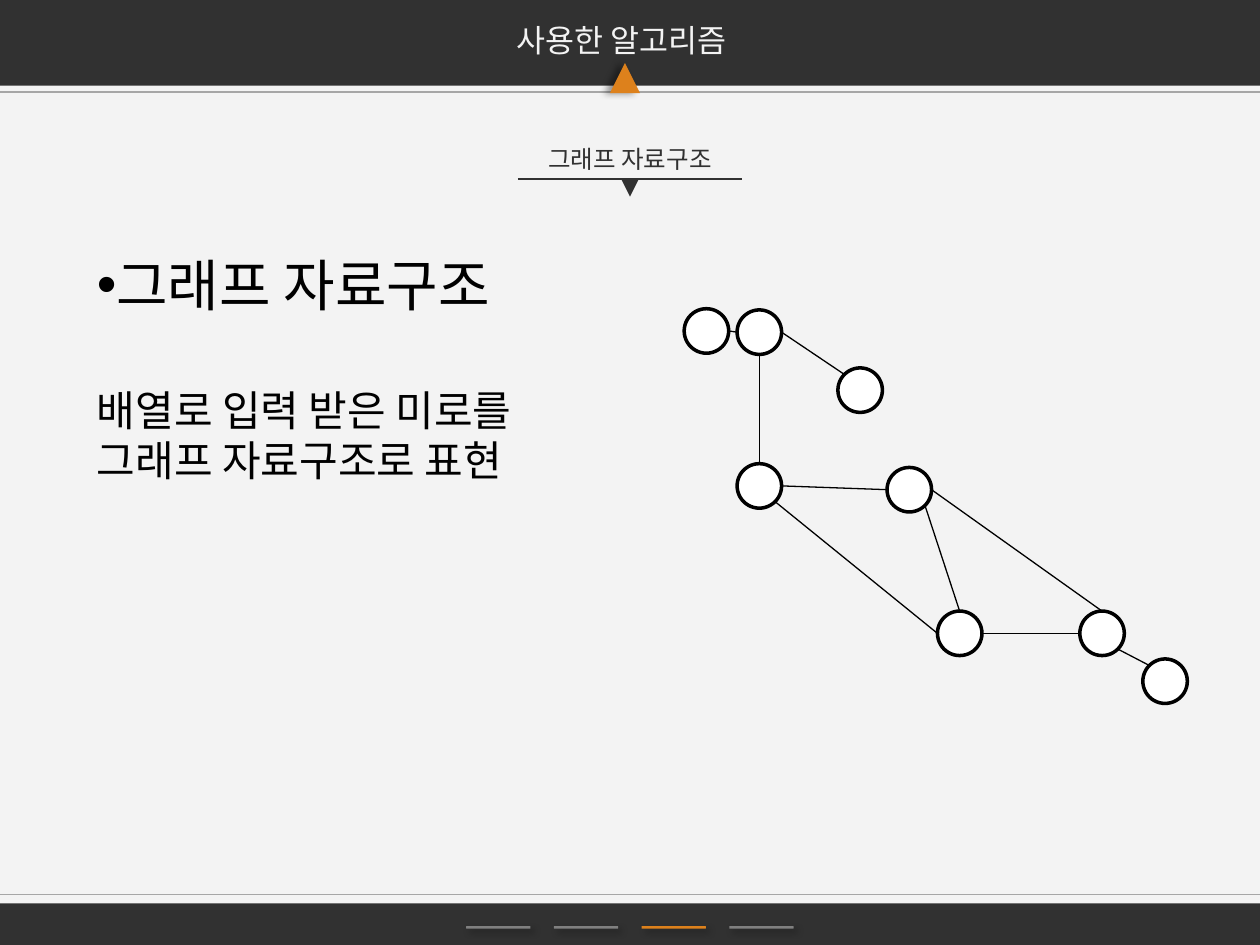
from dataclasses import dataclass

import lxml.etree
import pptx
import pptx.dml.color
import pptx.enum.shapes
import pptx.enum.text
import pptx.oxml.ns
import pptx.util

# The page is a grid of 100 columns by 75 rows; all lengths are in grid units
COLUMNS, ROWS = 100, 75
UNIT = pptx.util.Inches(0.1)
FONT = "Noto Sans CJK KR"
COLORS = {"paper": "F3F3F3", "dark": "313131", "grey": "808080", "rule": "A6A6A6",
          "accent": "DD811C", "black": "000000", "white": "FFFFFF"}
SHAPES = pptx.enum.shapes.MSO_SHAPE
DIAMETER = 3.53
DIAGONAL = 0.5 ** 0.5

# Unit vectors from a node's centre to the points where edges attach
SIDES = {"top": (0, -1), "left": (-1, 0), "bottom": (0, 1), "right": (1, 0),
         "top left": (-DIAGONAL, -DIAGONAL), "bottom right": (DIAGONAL, DIAGONAL)}


@dataclass(frozen=True)
class Node:
    column: float
    row: float

    def point(self, side: str) -> tuple[float, float]:
        radius = DIAMETER / 2
        across, down = SIDES[side]
        return self.column + radius * (1 + across), self.row + radius * (1 + down)


@dataclass(frozen=True)
class Edge:
    start: str
    start_side: str
    end: str
    end_side: str


NODES = {"A": Node(54.3, 24.5), "B": Node(58.5, 24.6), "C": Node(66.5, 29.2),
         "D": Node(58.5, 36.8), "E": Node(70.4, 37.1), "F": Node(74.4, 48.5),
         "G": Node(85.7, 48.5), "H": Node(90.7, 52.3)}
EDGES = [Edge("A", "right", "B", "left"), Edge("B", "right", "C", "top left"),
         Edge("B", "bottom", "D", "top"), Edge("D", "right", "E", "left"),
         Edge("D", "bottom right", "F", "left"), Edge("E", "bottom right", "F", "top"),
         Edge("F", "right", "G", "left"), Edge("E", "right", "G", "top"),
         Edge("G", "bottom right", "H", "top left")]


def grid(value: float) -> int:
    return round(value * UNIT)


def color(name: str) -> pptx.dml.color.RGBColor:
    return pptx.dml.color.RGBColor.from_string(COLORS[name])


def add_block(page, kind, area: tuple, fill: str, outline: str | None = None):
    shape = page.shapes.add_shape(kind, *map(grid, area))
    shape.shadow.inherit = False
    shape.fill.solid()
    shape.fill.fore_color.rgb = color(fill)
    if outline:
        shape.line.color.rgb = color(outline)
        shape.line.width = pptx.util.Pt(2)
    else:
        shape.line.fill.background()
    return shape


def add_shadow(shape, degrees: int) -> None:
    effects = shape._element.spPr.find(pptx.oxml.ns.qn("a:effectLst"))
    shadow = lxml.etree.SubElement(
        effects, pptx.oxml.ns.qn("a:outerShdw"), blurRad=str(pptx.util.Pt(4)),
        dist=str(pptx.util.Pt(3)), dir=str(degrees * 60000), algn="ctr", rotWithShape="0")
    tone = lxml.etree.SubElement(shadow, pptx.oxml.ns.qn("a:srgbClr"), val=COLORS["black"])
    lxml.etree.SubElement(tone, pptx.oxml.ns.qn("a:alpha"), val="40000")


def add_line(page, start: tuple, end: tuple, tone: str) -> None:
    line = page.shapes.add_connector(
        pptx.enum.shapes.MSO_CONNECTOR.STRAIGHT, *map(grid, start + end))
    line.line.color.rgb = color(tone)
    line.line.width = pptx.util.Pt(0.75)
    lxml.etree.SubElement(line._element.spPr, pptx.oxml.ns.qn("a:effectLst"))


def add_text(page, area: tuple, lines: list[tuple[str, int]], tone: str, centred: bool = False):
    box = page.shapes.add_textbox(*map(grid, area))
    frame = box.text_frame
    frame.word_wrap = not centred
    frame.text = "\n".join(words for words, _ in lines)
    for para, (_, size) in zip(frame.paragraphs, lines):
        if centred:
            para.alignment = pptx.enum.text.PP_ALIGN.CENTER
        span = para.runs[0]
        span.font.size = pptx.util.Pt(size)
        span.font.name = FONT
        span.font.color.rgb = color(tone)
        lxml.etree.SubElement(span.font._element, pptx.oxml.ns.qn("a:ea"), typeface=FONT)
    return box


def draw_footer(page) -> None:
    add_block(page, SHAPES.RECTANGLE, (0, 71.7, COLUMNS, 3.9), "dark")
    for step in range(4):
        tone = "accent" if step == 2 else "grey"
        marker = add_block(page, SHAPES.ROUNDED_RECTANGLE,
                           (37 + 6.96 * step, 73.5, 5.1, 0.2), tone)
        add_shadow(marker, 45)
    add_line(page, (COLUMNS, 71), (0, 71), "rule")


def draw_subtitle(page) -> None:
    add_line(page, (41.1, 14.2), (58.9, 14.2), "dark")
    pointer = add_block(page, SHAPES.ISOSCELES_TRIANGLE, (49.3, 14.2, 1.4, 1.4), "dark")
    pointer.rotation = 180
    add_text(page, (41.8, 10.9, 16.4, 3.4), [("그래프 자료구조", 14)], "dark", centred=True)


def draw_header(page) -> None:
    add_block(page, SHAPES.RECTANGLE, (0, 0, COLUMNS, 6.8), "dark")
    add_text(page, (39, 1.2, 20.6, 4), [("사용한 알고리즘", 18)], "paper", centred=True)
    add_line(page, (COLUMNS, 7.3), (0, 7.3), "rule")
    pointer = add_block(page, SHAPES.ISOSCELES_TRIANGLE, (48.4, 5, 2.4, 2.4), "accent")
    add_shadow(pointer, 180)


def draw_description(page) -> None:
    lines = [("그래프 자료구조", 32), ("배열로 입력 받은 미로를", 24), ("그래프 자료구조로 표현", 24)]
    box = add_text(page, (6.7, 19.4, 42.5, 19.9), lines, "black")
    heading = box.text_frame.paragraphs[0]
    heading.space_after = pptx.util.Pt(38)
    properties = heading._p.get_or_add_pPr()
    lxml.etree.SubElement(properties, pptx.oxml.ns.qn("a:buFont"), typeface="Arial")
    lxml.etree.SubElement(properties, pptx.oxml.ns.qn("a:buChar"), char="•")


def draw_graph(page) -> None:
    for node in NODES.values():
        add_block(page, SHAPES.OVAL, (node.column, node.row, DIAMETER, DIAMETER),
                  "white", "black")
    for edge in EDGES:
        add_line(page, NODES[edge.start].point(edge.start_side),
                 NODES[edge.end].point(edge.end_side), "black")


def main() -> None:
    deck = pptx.Presentation()
    deck.slide_width, deck.slide_height = grid(COLUMNS), grid(ROWS)
    page = deck.slides.add_slide(deck.slide_layouts[6])
    page.background.fill.solid()
    page.background.fill.fore_color.rgb = color("paper")
    draw_footer(page)
    draw_subtitle(page)
    draw_header(page)
    draw_description(page)
    draw_graph(page)
    deck.save("out.pptx")


if __name__ == "__main__":
    main()
